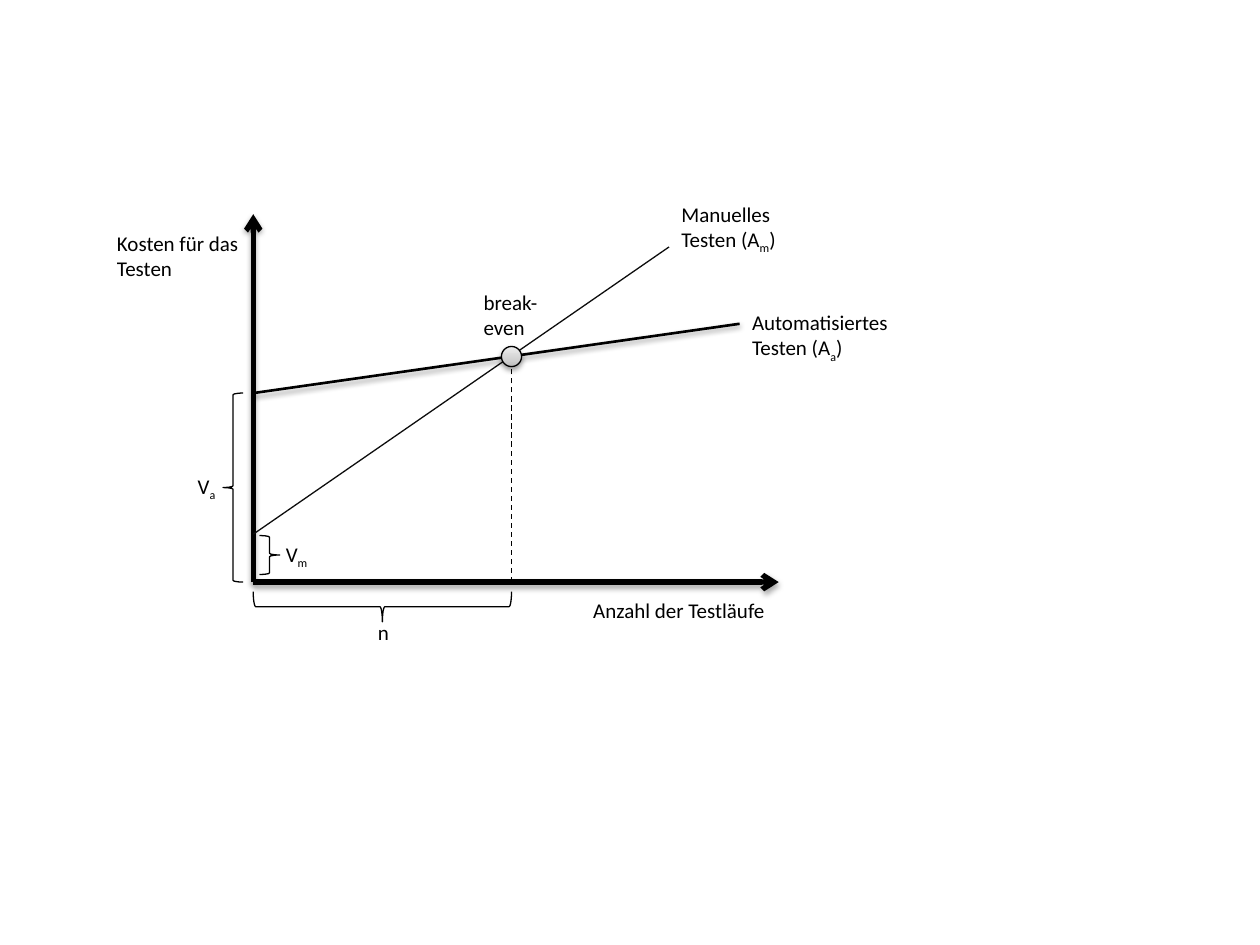
from lxml.etree import SubElement
from pptx import Presentation
from pptx.dml.color import RGBColor
from pptx.enum.dml import MSO_LINE
from pptx.enum.shapes import MSO_CONNECTOR, MSO_SHAPE
from pptx.enum.text import MSO_AUTO_SIZE
from pptx.oxml.ns import qn
from pptx.util import Inches, Pt

COLORS = {
    "ink": "000000",
    "soft_ink": "0D0D0D",
    "dot_dark": "BDBDBD",
    "dot_mid": "D1D1D1",
    "dot_light": "EEEEEE",
}
COLUMNS, ROWS = 100, 75


class Diagram:
    font, size, thin = "Calibri", 12, 0.75

    def __init__(self, prs):
        self.slide = prs.slides.add_slide(prs.slide_layouts[6])
        self.col = prs.slide_width / COLUMNS
        self.row = prs.slide_height / ROWS

    def x(self, columns):
        return round(columns * self.col)

    def y(self, rows):
        return round(rows * self.row)

    def box(self, left, top, width, height):
        return self.x(left), self.y(top), self.x(width), self.y(height)

    def outline(self, sp, width, color="ink"):
        sp.line.color.rgb = RGBColor.from_string(COLORS[color])
        sp.line.width = Pt(width)

    def effect(self, sp, alpha=None, distance=1.6):
        effects = SubElement(sp._element.spPr, qn("a:effectLst"))
        if alpha:
            shadow = SubElement(
                effects, qn("a:outerShdw"), blurRad=str(Pt(3.1)),
                dist=str(Pt(distance)), dir="5400000", rotWithShape="0")
            color = SubElement(shadow, qn("a:srgbClr"), val=COLORS["ink"])
            SubElement(color, qn("a:alpha"), val=str(alpha * 1000))

    def line(self, start, end, width=thin, color="ink", dashed=False, arrow=False,
             alpha=None, distance=1.6):
        sp = self.slide.shapes.add_connector(
            MSO_CONNECTOR.STRAIGHT, self.x(start[0]), self.y(start[1]),
            self.x(end[0]), self.y(end[1]))
        self.outline(sp, width, color)
        if dashed:
            sp.line.dash_style = MSO_LINE.DASH
        if arrow:
            SubElement(sp.line._get_or_add_ln(), qn("a:tailEnd"), type="arrow")
        self.effect(sp, alpha, distance)

    def axis(self, start, end):
        self.line(start, end, 3, arrow=True, alpha=35, distance=1.8)

    def dot(self, center, diameter):
        left, top = (c - diameter / 2 for c in center)
        sp = self.slide.shapes.add_shape(
            MSO_SHAPE.FLOWCHART_CONNECTOR, *self.box(left, top, diameter, diameter))
        sp.fill.gradient()
        sp.fill.gradient_angle = 90
        stops = sp._element.spPr.find(".//" + qn("a:gsLst"))
        stops.clear()
        for position, color in ((0, "dot_dark"), (35, "dot_mid"), (100, "dot_light")):
            stop = SubElement(stops, qn("a:gs"), pos=str(position * 1000))
            SubElement(stop, qn("a:srgbClr"), val=COLORS[color])
        self.outline(sp, self.thin)
        self.effect(sp, 38)

    def brace(self, kind, left, top, width, height, rotation=0):
        sp = self.slide.shapes.add_shape(kind, *self.box(left, top, width, height))
        sp.rotation = rotation
        sp.fill.background()
        self.outline(sp, self.thin)
        self.effect(sp)

    def label(self, text, left, top, width, height=3):
        sp = self.slide.shapes.add_textbox(*self.box(left, top, width, height))
        tf = sp.text_frame
        tf.word_wrap = True
        tf.auto_size = MSO_AUTO_SIZE.SHAPE_TO_FIT_TEXT
        p = tf.paragraphs[0]
        p.font.name = self.font
        p.font.size = Pt(self.size)
        p.font.color.rgb = RGBColor.from_string(COLORS["ink"])
        for i, part in enumerate(text.split("_")):
            if part:
                r = p.add_run()
                r.text = part
                if i % 2:
                    r._r.get_or_add_rPr().set("baseline", "-25000")


def main():
    prs = Presentation()
    prs.slide_width, prs.slide_height = Inches(10), Inches(7.5)
    d = Diagram(prs)

    origin_x, origin_y = origin = 20.1, 46.2
    auto_start, manual_start = 31.2, 42.4
    even_x, even_y = 40.6, 28.3
    runs = even_x - origin_x
    brace_depth = 2.4

    d.axis(origin, (origin_x, 17))
    d.axis(origin, (61.8, origin_y))
    d.line((origin_x, auto_start), (58.7, 25.7), 1.5, alpha=38)
    d.line((origin_x, manual_start), (53.1, 19.6), color="soft_ink")
    d.dot((even_x, even_y), 1.6)

    d.label("break-even", 37.4, 22.5, 8.7, 5)
    d.label("Kosten für das Testen", 8.3, 17.8, 11.8, 5)
    d.label("Anzahl der Testläufe", 46.1, 46.9, 16.5)
    d.label("Manuelles Testen (A_m_)", 53.1, 15.5, 13.4, 5)
    d.label("Automatisiertes Testen (A_a_)", 58.7, 24.1, 14.2, 5)

    d.line((even_x, origin_y), (even_x, even_y + 0.8), dashed=True)
    d.brace(MSO_SHAPE.LEFT_BRACE, origin_x + (runs - brace_depth) / 2,
            48.15 - runs / 2, brace_depth, runs, 270)
    d.label("n", 29, 48.7, 2.4)
    d.brace(MSO_SHAPE.RIGHT_BRACE, 20.6, 42.5, 1.6, 3.1)
    d.label("V_m_", 21.7, 42.5, 7.1)
    d.brace(MSO_SHAPE.LEFT_BRACE, 17.7, auto_start, 1.6, origin_y - auto_start)
    d.label("V_a_", 14.7, 37.1, 5.5)

    prs.save("out.pptx")


if __name__ == "__main__":
    main()
